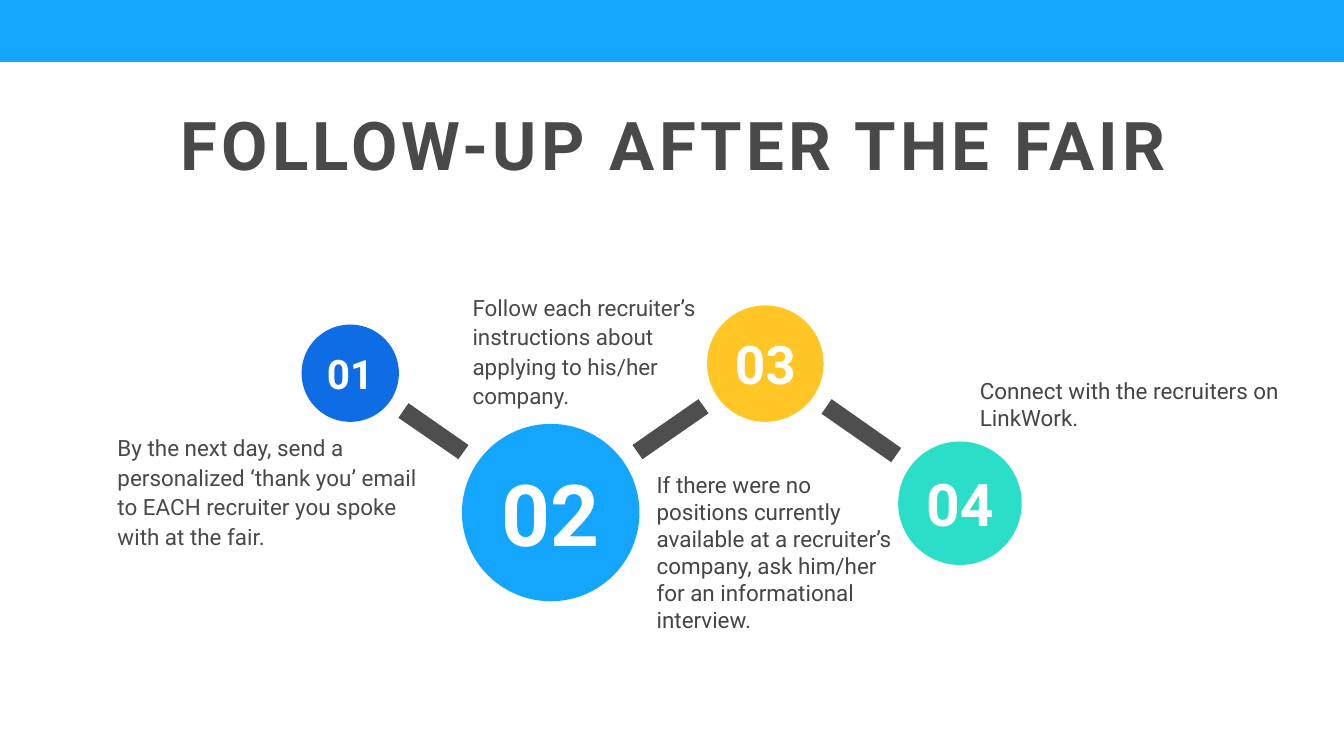
from pptx import Presentation
from pptx.dml.color import RGBColor
from pptx.enum.shapes import MSO_SHAPE as Shape
from pptx.enum.text import MSO_ANCHOR as Anchor, MSO_AUTO_SIZE as AutoSize, PP_ALIGN as Align
from pptx.util import Pt

PX = 9144  # EMU per px, 100 px to the inch
WIDTH, HEIGHT = 2665, 1500
FONT = "Roboto"
BLUE, WHITE, BAR_GREY = "14A5FF", "FFFFFF", "4E4E4E"
TITLE_GREY, TEXT_GREY = "494949", "454545"

# label, centre x, centre y, diameter, colour, label size in points
STEPS = [
    ("01", 694, 740, 193, "0E6DE5", 58),
    ("02", 1092, 1017, 352, BLUE, 122),
    ("03", 1517, 721, 231, "FFC625", 76),
    ("04", 1903, 998, 245, "2ADEC8", 84),
]

# corners of the bars that join the circles
BARS = [
    [(929, 883), (810, 800), (790, 829), (909, 911)],
    [(1385, 792), (1254, 883), (1274, 911), (1405, 820)],
    [(1787, 889), (1649, 792), (1629, 821), (1767, 917)],
]

# text, left, top, width, height, colour, line spacing in points
NOTES = [
    ("By the next day, send a personalized ‘thank you’ email to EACH recruiter "
     "you spoke with at the fair.", 228, 852, 650, 242, TITLE_GREY, 42),
    ("Follow each recruiter’s instructions about applying to his/her company.",
     932, 573, 458, 242, TITLE_GREY, 42),
    ("If there were no positions currently available at a recruiter’s company, "
     "ask him/her for an informational interview.",
     1297, 930, 494, 384, TEXT_GREY, None),
    ("Connect with the recruiters on LinkWork.",
     1938, 743, 689, 168, TEXT_GREY, None),
]


def color(hex_string):
    return RGBColor.from_string(hex_string)


def box(*lengths):
    return [length * PX for length in lengths]


def paint(shape, fill):
    shape.shadow.inherit = False
    shape.fill.solid()
    shape.fill.fore_color.rgb = color(fill)
    shape.line.fill.background()


def write(shape, text, size, fill, bold=False, align=Align.LEFT,
          anchor=Anchor.TOP, wrap=True, inset=5):
    frame = shape.text_frame
    frame.text = text
    frame.word_wrap = wrap
    frame.auto_size = AutoSize.NONE
    frame.vertical_anchor = anchor
    frame.margin_left = frame.margin_right = inset * PX
    frame.margin_top = frame.margin_bottom = inset * PX
    paragraph = frame.paragraphs[0]
    paragraph.alignment = align
    paragraph.font.name = FONT
    paragraph.font.size = Pt(size)
    paragraph.font.bold = bold
    paragraph.font.color.rgb = color(fill)
    return paragraph


def add_title(slide, text):
    title = slide.shapes.title
    title.left, title.top, title.width, title.height = box(38, 200, 2596, 211)
    paragraph = write(title, text, 96, TITLE_GREY, bold=True, align=Align.CENTER)
    # letter spacing in hundredths of a point
    paragraph.runs[0].font._element.set("spc", "600")


def add_band(slide):
    band = slide.shapes.add_shape(Shape.RECTANGLE, *box(0, 0, WIDTH, 123))
    paint(band, BLUE)


def add_bar(slide, corners):
    builder = slide.shapes.build_freeform(*corners[0], scale=PX)
    builder.add_line_segments(corners[1:], close=True)
    paint(builder.convert_to_shape(), BAR_GREY)


def add_step(slide, label, center_x, center_y, diameter, fill, size):
    left, top = center_x - diameter // 2, center_y - diameter // 2
    circle = slide.shapes.add_shape(Shape.OVAL, *box(left, top, diameter, diameter))
    paint(circle, fill)
    write(circle, label, size, WHITE, bold=True, align=Align.CENTER,
          anchor=Anchor.MIDDLE, wrap=False, inset=0)


def add_note(slide, text, left, top, width, height, fill, spacing):
    note = slide.shapes.add_textbox(*box(left, top, width, height))
    paragraph = write(note, text, 32, fill)
    if spacing:
        paragraph.line_spacing = Pt(spacing)


def main():
    presentation = Presentation()
    presentation.slide_width, presentation.slide_height = box(WIDTH, HEIGHT)
    slide = presentation.slides.add_slide(presentation.slide_layouts[5])

    # Heading
    add_band(slide)
    add_title(slide, "FOLLOW-UP AFTER THE FAIR")

    # Chain of steps
    for corners in BARS:
        add_bar(slide, corners)
    for step in STEPS:
        add_step(slide, *step)

    # Advice beside each step
    for note in NOTES:
        add_note(slide, *note)

    presentation.save("out.pptx")


if __name__ == "__main__":
    main()
